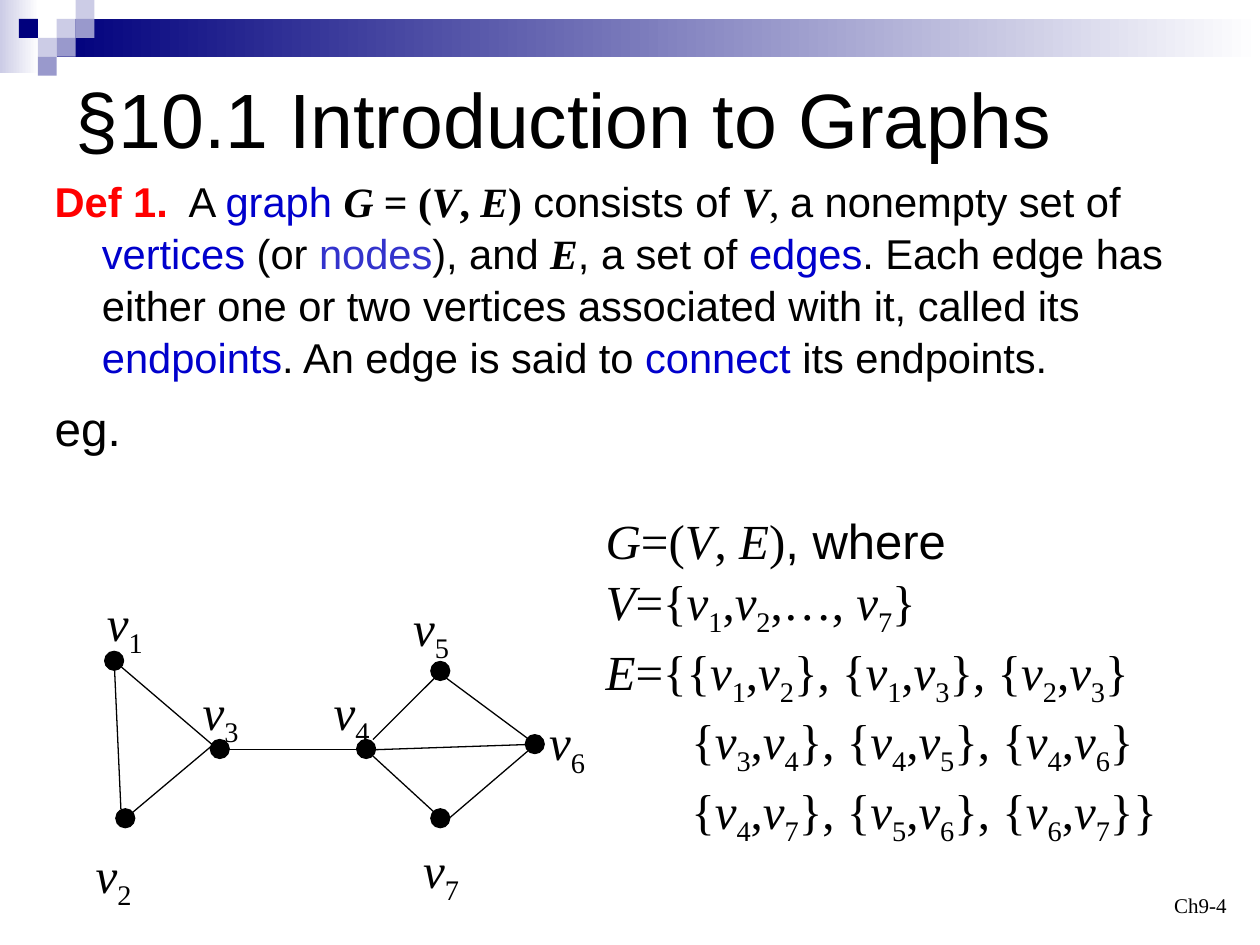
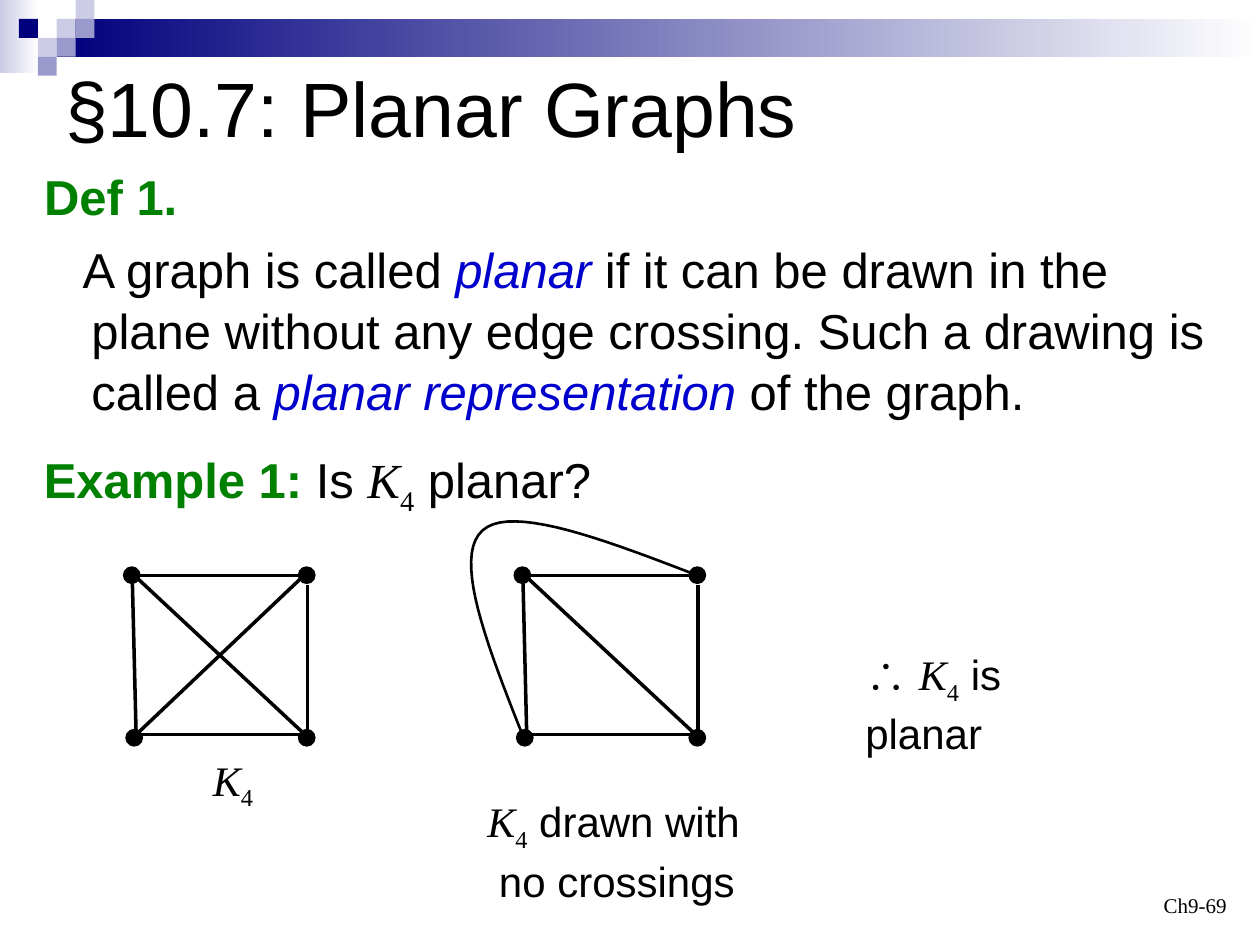
from itertools import groupby
from lxml.etree import SubElement
from pptx import Presentation
from pptx.dml.color import RGBColor
from pptx.enum.shapes import MSO_CONNECTOR as Link, MSO_SHAPE as Form
from pptx.enum.text import MSO_ANCHOR as Anchor, MSO_AUTO_SIZE as Auto, PP_ALIGN as Align
from pptx.oxml.ns import qn
from pptx.util import Pt

HUES = {
    "black": "000000", "white": "FFFFFF", "navy": "00007D", "pale": "CCCCE6",
    "mid": "9999CC", "blue": "0000CC", "soft": "3333CC", "red": "FF0000",
    "green": "008000",
}
CELL = 10.8
CELLS = [(3, 1, "pale"), (4, 0, "pale"), (4, 1, "mid"), (2, 2, "pale"),
         (1, 1, "navy"), (3, 2, "mid"), (2, 3, "mid")]


def hue(name):
    """Return the named colour."""
    return RGBColor.from_string(HUES[name])


def kind(char):
    """Return the style of one formula character."""
    return "ti" if char.isalpha() else "t_" if char.isdigit() else "t"


def math(text):
    """Split a formula into italic, lowered and upright serif runs."""
    return [("".join(part), style) for style, part in groupby(text, kind)]


def curve(start, *bends, steps=20):
    """Return points along a chain of cubic curves."""
    spots = [start]
    for one, two, end in bends:
        first = spots[-1]
        for step in range(1, steps + 1):
            t = step / steps
            u = 1 - t
            spots.append(tuple(
                u**3 * a + 3 * u * u * t * b + 3 * u * t * t * c + t**3 * d
                for a, b, c, d in zip(first, one, two, end)))
    return spots


class Deck:
    """Holds the shared style and the current slide."""

    def __init__(self):
        """Open an empty deck of 10 by 7.5 inches."""
        self.show = Presentation()
        self.show.slide_width, self.show.slide_height = Pt(720), Pt(540)

    def page(self, title, spot, mark):
        """Start a slide with its band, title and page mark."""
        self.slide = self.show.slides.add_slide(self.show.slide_layouts[1])
        self.fade(0, 0, 22.3, 42, "pale")
        self.fade(32.4, CELL, 687.6, 21.6, "navy")
        for col, row, name in CELLS:
            self.shape(Form.RECTANGLE, col * CELL, row * CELL, CELL, CELL, name)
        head = self.slide.shapes.title
        self.place(head, spot)
        head.text_frame.vertical_anchor = Anchor.MIDDLE
        self.para(head.text_frame.paragraphs[0], [(title, "")], 44)
        foot = self.text((540, 492, 168, 36), [[(mark, "t")]], 12, wrap=True)
        foot.vertical_anchor = Anchor.BOTTOM
        foot.paragraphs[0].alignment = Align.RIGHT

    def place(self, shape, spot):
        """Move a text shape and fix its frame."""
        shape.left, shape.top, shape.width, shape.height = map(Pt, spot)
        shape.text_frame.auto_size = Auto.NONE
        shape.text_frame.word_wrap = True

    def shape(self, form, x, y, wide, high, name):
        """Draw a plain filled shape."""
        item = self.slide.shapes.add_shape(form, Pt(x), Pt(y), Pt(wide), Pt(high))
        item.shadow.inherit = False
        item.fill.solid()
        item.fill.fore_color.rgb = hue(name)
        item.line.fill.background()
        return item

    def fade(self, x, y, wide, high, name):
        """Draw a bar that fades to white."""
        fill = self.shape(Form.RECTANGLE, x, y, wide, high, name).fill
        fill.gradient()
        fill.gradient_angle = 0
        for stop, shade, at in zip(fill.gradient_stops, (name, "white"), (0, 1)):
            stop.color.rgb = hue(shade)
            stop.position = at

    def dot(self, x, y, size, form=Form.OVAL):
        """Draw a black vertex."""
        item = self.shape(form, x, y, size, size, "black")
        self.ink(item, 0.75)

    def ink(self, item, width):
        """Give an item a black line."""
        item.line.color.rgb = hue("black")
        item.line.width = Pt(width)

    def edge(self, ends, width, shift=0):
        """Draw a straight edge."""
        x, y, right, low = ends
        item = self.slide.shapes.add_connector(
            Link.STRAIGHT, Pt(x + shift), Pt(y), Pt(right + shift), Pt(low))
        self.ink(item, width)
        SubElement(item._element.spPr, qn("a:effectLst"))

    def bend(self, spots, width):
        """Draw an open curved edge."""
        first, *rest = [(Pt(x), Pt(y)) for x, y in spots]
        pen = self.slide.shapes.build_freeform(*first)
        pen.add_line_segments(rest, close=False)
        item = pen.convert_to_shape()
        item.shadow.inherit = False
        item.fill.background()
        self.ink(item, width)

    def para(self, par, runs, size, left=0, indent=0, before=0):
        """Fill a paragraph run by run."""
        par.alignment = Align.LEFT
        par.space_before = Pt(before)
        par.line_spacing = 1.04
        props = par._p.get_or_add_pPr()
        props.set("marL", str(Pt(left)))
        props.set("indent", str(Pt(indent)))
        SubElement(props, qn("a:buNone"))
        for text, style, *name in runs:
            run = par.add_run()
            run.text = text
            font = run.font
            font.size = Pt(size)
            font.name = "Times New Roman" if "t" in style else "Arial"
            font.bold = "b" in style
            font.italic = "i" in style
            font.color.rgb = hue(name[0] if name else "black")
            if "_" in style:
                font._element.set("baseline", "-25000")

    def body(self, spot, rows):
        """Fill the body placeholder."""
        item = self.slide.placeholders[1]
        self.place(item, spot)
        for nth, (runs, form) in enumerate(rows):
            frame = item.text_frame
            par = frame.add_paragraph() if nth else frame.paragraphs[0]
            self.para(par, runs, **form)

    def text(self, spot, rows, size, wrap=False, **form):
        """Add a text box with one paragraph per row."""
        item = self.slide.shapes.add_textbox(*map(Pt, spot))
        self.place(item, spot)
        frame = item.text_frame
        frame.word_wrap = wrap
        for nth, runs in enumerate(rows):
            par = frame.add_paragraph() if nth else frame.paragraphs[0]
            self.para(par, runs, size, **form)
        return frame

    def square(self, shift, crossed):
        """Draw four joined vertices, with one diagonal or both."""
        edges = [(7.2, 329.8, 103.7, 419.8), (5, 329.8, 7.2, 419.8),
                 (105.1, 334.1, 105.1, 419.8), (7.2, 329, 103.7, 329),
                 (5.8, 419.8, 102.2, 419.8)]
        if crossed:
            edges.append((103.7, 328.3, 7.2, 419.8))
        for ends in edges:
            self.edge(ends, 2, shift)
        for x, y in [(0, 324), (1.4, 416.9), (100, 324), (100, 416.9)]:
            self.dot(x + shift, y, 9.4, Form.FLOWCHART_CONNECTOR)


def intro(deck):
    """Build the slide that defines a graph."""
    deck.page("§10.1 Introduction to Graphs", (36, 36, 648, 60), "Ch9-4")
    hang = {"left": 27, "indent": -27}
    deck.body((24, 96, 678, 174), [
        ([("Def 1. ", "b", "red"), (" A ", ""), ("graph ", "", "blue"),
          ("G ", "tbi"), ("= (", "tb"), ("V", "tbi"), (", ", "tb"),
          ("E", "tbi"), (")", "tb"), (" consists of ", ""), ("V", "tbi"),
          (", ", "t"), ("a nonempty set of ", ""), ("vertices ", "", "blue"),
          ("(or ", ""), ("nodes", "", "soft"), ("), and ", ""), ("E", "tbi"),
          (", a set of ", ""), ("edges", "", "blue"),
          (". Each edge has either one or two vertices associated with it, "
           "called its ", ""),
          ("endpoints", "", "blue"), (". An edge is said to ", ""),
          ("connect", "", "blue"), (" its endpoints.", "")],
         {"size": 23.8, "before": 7, **hang}),
        ([("eg.", "")], {"size": 27.2, "before": 8, **hang}),
    ])
    for ends in [(69.1, 380.9, 128.9, 432), (125.3, 422.6, 75.6, 464.4),
                 (65.5, 383, 69.1, 462.2), (131, 428.4, 214.6, 428.4),
                 (213.1, 422.6, 248.4, 387.4), (254.9, 387.4, 302.4, 422.6),
                 (301.7, 429.1, 257, 467.3), (213.1, 432, 248.4, 464.4),
                 (214.6, 428.4, 300.2, 425.5)]:
        deck.edge(ends, 0.75)
    nodes = [(59.8, 372.2, 54, 333.4), (66.2, 462.2, 47.5, 477.4),
             (120.2, 422.6, 108.7, 384.5), (203.8, 422.6, 183.6, 384.5),
             (246.2, 378, 229, 336.2), (300.2, 419.8, 306.7, 401.8),
             (246.2, 462.2, 234.7, 474.5)]
    for nth, (x, y, left, top) in enumerate(nodes, 1):
        deck.dot(x, y, CELL)
        deck.text((left, top, 34.6, 45.4), [math(f"v{nth}")], 28)
    frame = deck.text((339, 286.6, 329, 193.7), [
        math("G=(V, E)") + [(", where", "")],
        math("V={v1,v2,…, v7}"),
        math("E={{v1,v2}, {v1,v3}, {v2,v3}"),
        math("{v3,v4}, {v4,v5}, {v4,v6}"),
        math("{v4,v7}, {v5,v6}, {v6,v7}}"),
    ], 28)
    for par in frame.paragraphs[3:]:
        par._p.pPr.set("marL", str(Pt(49)))


def planar(deck):
    """Build the slide on planar graphs."""
    deck.page("§10.7: Planar Graphs", (30, 24, 648, 72), "Ch9-69")
    form = {"size": 28, "left": 27, "before": 7}
    deck.body((18, 90, 678, 150), [
        ([("Def 1.", "b", "green")], {**form, "indent": -27}),
        ([("A graph is called ", ""), ("planar", "i", "blue"),
          (" if it can be drawn in the plane without any edge crossing. "
           "Such a drawing is called a ", ""),
          ("planar representation ", "i", "blue"), ("of the graph.", "")],
         {**form, "indent": -5}),
    ])
    name = math("K4")
    deck.text((18, 252, 654, 45.4),
              [[("Example 1: ", "b", "green"), ("Is ", ""), *name,
                (" planar?", "")]],
              wrap=True, **{**form, "indent": -27})
    deck.square(70.6, True)
    deck.square(293.8, False)
    deck.bend(curve((401, 329.8),
                    ((347, 308.9), (292.3, 288), (275.8, 303.1)),
                    ((258.5, 318.2), (278.6, 369.4), (298.8, 420.5))), 1.5)
    deck.text((114.5, 426.2, 37.4, 40.3), [name], 24)
    deck.text((271.4, 450, 158.4, 69),
              [[*name, (" drawn with", "")], [(" no crossings", "")]], 24)
    deck.text((487.4, 365.8, 161.3, 40.3),
              [[("∴ ", ""), *name, (" is planar", "")]], 24, wrap=True)


def main():
    """Build and save the deck."""
    deck = Deck()
    intro(deck)
    planar(deck)
    deck.show.save("out.pptx")


if __name__ == "__main__":
    main()
